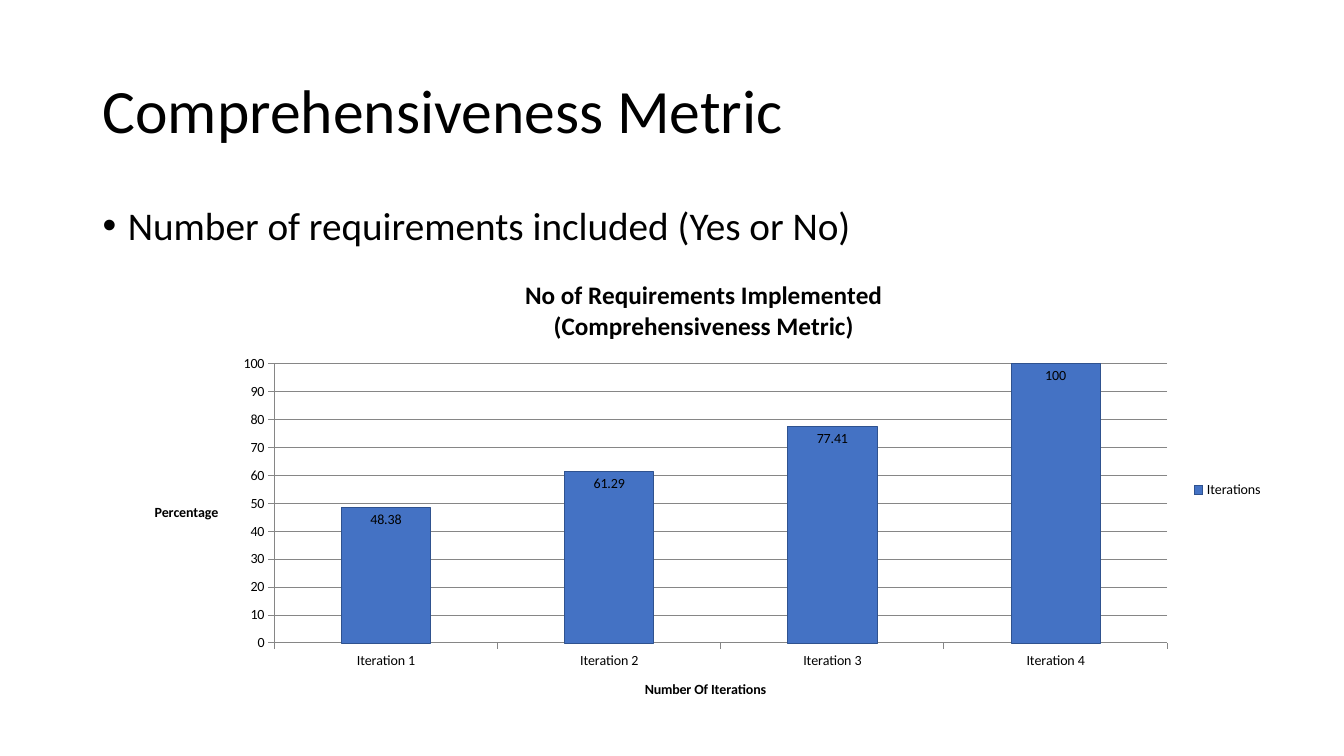
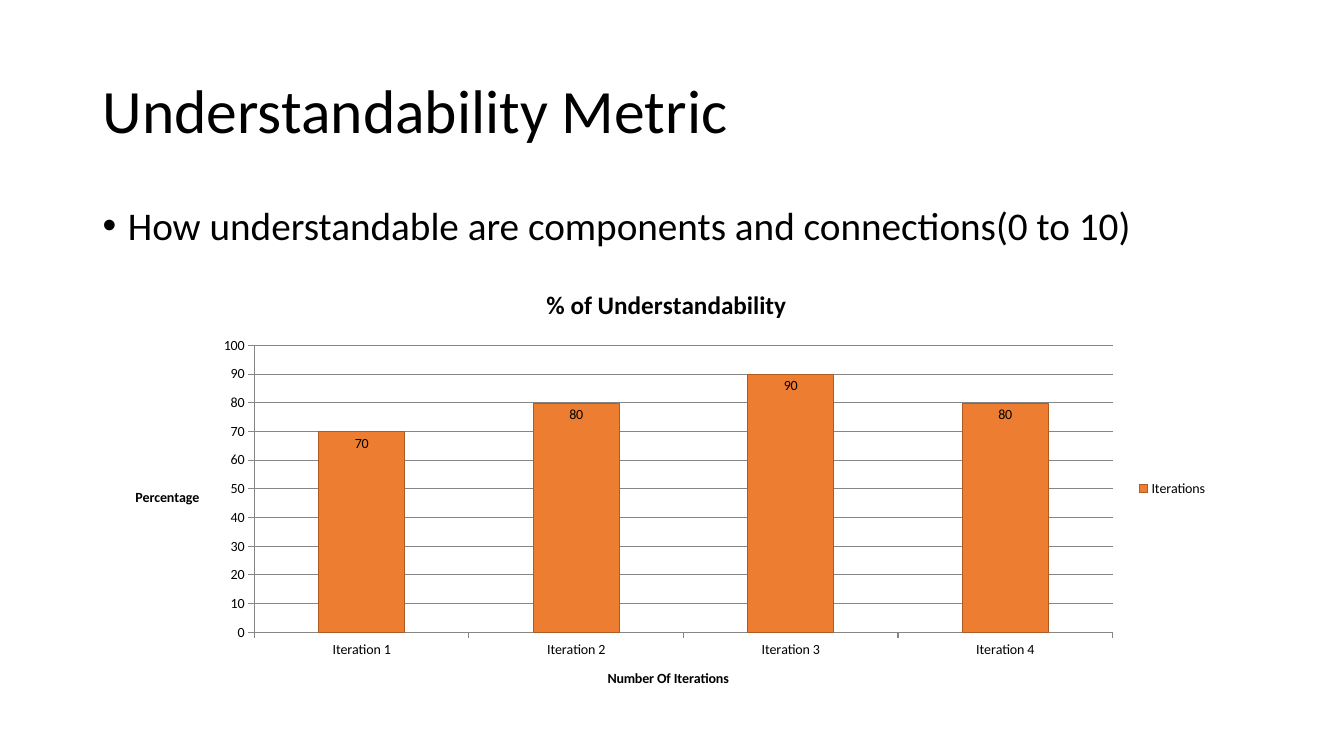
from lxml import etree
from pptx import Presentation
from pptx.chart.data import CategoryChartData
from pptx.dml.color import RGBColor
from pptx.enum.chart import XL_CHART_TYPE, XL_LABEL_POSITION, XL_LEGEND_POSITION, XL_TICK_MARK
from pptx.enum.text import MSO_ANCHOR
from pptx.oxml.ns import qn
from pptx.util import Inches, Pt

COLUMNS = XL_CHART_TYPE.COLUMN_CLUSTERED
INSIDE_END = XL_LABEL_POSITION.INSIDE_END
LEGEND_RIGHT = XL_LEGEND_POSITION.RIGHT
TICK_OUTSIDE = XL_TICK_MARK.OUTSIDE
TOP, MIDDLE = MSO_ANCHOR.TOP, MSO_ANCHOR.MIDDLE

FONT = "Calibri"
BLACK = RGBColor(0x00, 0x00, 0x00)
GREY = RGBColor(0x86, 0x86, 0x86)
BLUE = RGBColor(0x44, 0x72, 0xC4)
DARK_BLUE = RGBColor(0x2F, 0x52, 0x8F)
ORANGE = RGBColor(0xED, 0x7D, 0x31)
DARK_ORANGE = RGBColor(0xAE, 0x5A, 0x21)

TITLE_BOX = (0.92, 0.4, 11.5, 1.45)
BODY_BOX = (0.92, 2, 11.5, 4.76)

ITERATIONS = ["Iteration 1", "Iteration 2", "Iteration 3", "Iteration 4"]
SERIES_NAME = "Iterations"
CATEGORY_TITLE = "Number Of Iterations"
VALUE_TITLE = "Percentage"

METRICS = [
    {
        "title": "Comprehensiveness Metric",
        "bullet": "Number of requirements included (Yes or No)",
        "chart_title": "No of Requirements Implemented\n(Comprehensiveness Metric)",
        "scores": (48.38, 61.29, 77.41, 100),
        "chart_box": (1.33, 2.59, 11.3, 4.54),
        "fill": BLUE,
        "outline": DARK_BLUE,
    },
    {
        "title": "Understandability Metric",
        "bullet": "How understandable are components and connections(0 to 10)",
        "chart_title": "% of Understandability",
        "scores": (70, 80, 90, 80),
        "chart_box": (1.14, 2.67, 10.94, 4.35),
        "fill": ORANGE,
        "outline": DARK_ORANGE,
    },
]


def style_font(font, size, bold=False):
    font.name = FONT
    font.size = Pt(size)
    font.bold = bold
    font.color.rgb = BLACK


def add_text(slide, box, text, size, anchor):
    frame = slide.shapes.add_textbox(*map(Inches, box)).text_frame
    frame.word_wrap = True
    frame.vertical_anchor = anchor
    paragraph = frame.paragraphs[0]
    paragraph.text = text
    paragraph.line_spacing = 0.9
    style_font(paragraph.runs[0].font, size)
    return paragraph


def add_bullet(paragraph):
    paragraph.space_before = Pt(10)
    properties = paragraph._p.get_or_add_pPr()
    properties.set("marL", str(Inches(0.25)))
    properties.set("indent", str(-Inches(0.25)))
    etree.SubElement(properties, qn("a:buFont")).set("typeface", "Arial")
    etree.SubElement(properties, qn("a:buChar")).set("char", "•")


def set_chart_text(frame, text, size):
    frame.text = text
    for paragraph in frame.paragraphs:
        for run in paragraph.runs:
            style_font(run.font, size, bold=True)


def style_axis(axis, title):
    axis.major_tick_mark = TICK_OUTSIDE
    axis.format.line.color.rgb = GREY
    set_chart_text(axis.axis_title.text_frame, title, 10)


def add_metric_chart(slide, metric):
    data = CategoryChartData()
    data.categories = ITERATIONS
    data.add_series(SERIES_NAME, metric["scores"])
    box = map(Inches, metric["chart_box"])
    chart = slide.shapes.add_chart(COLUMNS, *box, data).chart
    style_font(chart.font, 10)

    chart.has_title = True
    set_chart_text(chart.chart_title.text_frame, metric["chart_title"], 18)
    chart.has_legend = True
    chart.legend.position = LEGEND_RIGHT
    chart.legend.include_in_layout = False

    style_axis(chart.category_axis, CATEGORY_TITLE)
    values = chart.value_axis
    style_axis(values, VALUE_TITLE)
    values.minimum_scale, values.maximum_scale, values.major_unit = 0, 100, 10
    values.major_gridlines.format.line.color.rgb = GREY
    for body in chart.element.xpath("//c:valAx/c:title//a:bodyPr"):
        body.set("rot", "0")
        body.set("vert", "horz")

    plot = chart.plots[0]
    plot.gap_width = 150
    plot.vary_by_categories = False
    plot.has_data_labels = True
    labels = plot.data_labels
    labels.show_value = True
    labels.position = INSIDE_END
    style_font(labels.font, 10)

    bars = plot.series[0].format
    bars.fill.solid()
    bars.fill.fore_color.rgb = metric["fill"]
    bars.line.color.rgb = metric["outline"]
    bars.line.width = Pt(0.5)


def main():
    deck = Presentation()
    deck.slide_width, deck.slide_height = Inches(13.33), Inches(7.5)
    blank = deck.slide_layouts[6]
    for metric in METRICS:
        slide = deck.slides.add_slide(blank)
        add_text(slide, TITLE_BOX, metric["title"], 44, MIDDLE)
        add_bullet(add_text(slide, BODY_BOX, metric["bullet"], 28, TOP))
        add_metric_chart(slide, metric)
    deck.save("out.pptx")


if __name__ == "__main__":
    main()
